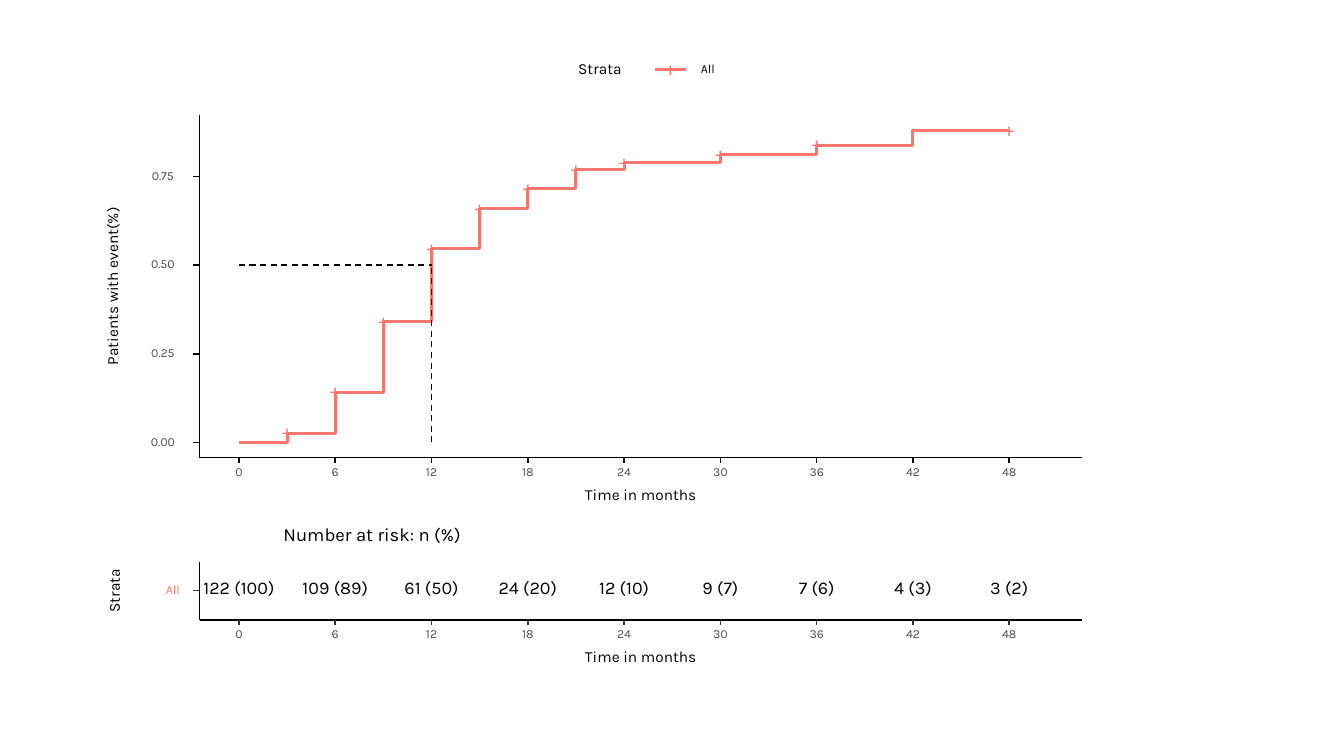
import pptx
import pptx.util
import pptx.dml.color
import pptx.enum.dml
import pptx.enum.shapes
import pptx.enum.text
import lxml.etree

Inches = pptx.util.Inches
Pt = pptx.util.Pt

FONT = "Karla"
COLORS = {"ink": "000000", "strata": "F8766D", "tick_text": "4D4D4D", "risk_tick": "333333"}

# (month, share of patients with event, marked with a plus)
EVENTS = [
    (0, 0.0, False), (3, 0.026, True), (6, 0.142, True), (9, 0.341, True),
    (12, 0.546, True), (15, 0.66, True), (18, 0.716, True), (21, 0.77, True),
    (24, 0.788, True), (30, 0.812, True), (36, 0.838, True),
    (42, 0.879, False), (48, 0.879, True),
]
MEDIAN_MONTH, MEDIAN_SHARE = 12, 0.5
SHARE_TICKS = [0.0, 0.25, 0.5, 0.75]
PATIENTS_AT_RISK = {
    0: "122 (100)", 6: "109 (89)", 12: "61 (50)", 18: "24 (20)", 24: "12 (10)",
    30: "9 (7)", 36: "7 (6)", 42: "4 (3)", 48: "3 (2)",
}
SHARE_TITLE = "Patients with event(%)"
TIME_TITLE = "Time in months"
RISK_TITLE = "Number at risk: n (%)"
STRATA_TITLE, STRATUM = "Strata", "All"

AXIS_LEFT, AXIS_RIGHT = 1.98, 10.73
CURVE_TOP, CURVE_BOTTOM = 1.14, 4.54
RISK_TOP, RISK_BOTTOM, RISK_ROW = 5.58, 6.15, 5.86
MONTH_ZERO, MONTH_WIDTH = 2.37, 7.64 / 48
SHARE_ZERO, SHARE_HEIGHT = 4.39, 3.52
LEGEND_Y = 0.69
THIN, THICK = 1.07, 2.13
TICK_SIZE, TITLE_SIZE, RISK_SIZE, RISK_TITLE_SIZE, PLUS_SIZE = 8.8, 11, 12.8, 13.2, 13.7


def month_x(month):
    return MONTH_ZERO + month * MONTH_WIDTH


def share_y(share):
    return SHARE_ZERO - share * SHARE_HEIGHT


def rgb(name):
    return pptx.dml.color.RGBColor.from_string(COLORS[name])


def add_label(text, center_x, center_y, width, height, size, color="ink", rotation=0):
    label = slide.shapes.add_textbox(
        Inches(center_x - width / 2), Inches(center_y - height / 2), Inches(width), Inches(height))
    label.rotation = rotation
    frame = label.text_frame
    frame.margin_left = frame.margin_right = frame.margin_top = frame.margin_bottom = 0
    frame.word_wrap = False
    frame.vertical_anchor = pptx.enum.text.MSO_ANCHOR.MIDDLE
    paragraph = frame.paragraphs[0]
    paragraph.text = text
    paragraph.alignment = pptx.enum.text.PP_ALIGN.CENTER
    paragraph.line_spacing = Pt(size)
    paragraph.font.name = FONT
    paragraph.font.size = Pt(size)
    paragraph.font.color.rgb = rgb(color)


def add_line(x1, y1, x2, y2, color="ink", width=THIN, dashed=False):
    line = slide.shapes.add_connector(
        pptx.enum.shapes.MSO_CONNECTOR.STRAIGHT, Inches(x1), Inches(y1), Inches(x2), Inches(y2))
    line.line.color.rgb = rgb(color)
    line.line.width = Pt(width)
    if dashed:
        line.line.dash_style = pptx.enum.dml.MSO_LINE.DASH
    properties = line._element.spPr
    lxml.etree.SubElement(properties, pptx.oxml.ns.qn("a:effectLst"))


def add_plus(x, y):
    add_label("+", x, y, 0.29, 0.16, PLUS_SIZE, "strata")


def add_curve():
    corners = []
    for month, share, _ in EVENTS:
        x, y = Inches(month_x(month)), Inches(share_y(share))
        if corners:
            corners.append((x, corners[-1][1]))
        corners.append((x, y))
    builder = slide.shapes.build_freeform(*corners[0])
    builder.add_line_segments(corners[1:], close=False)
    curve = builder.convert_to_shape()
    curve.shadow.inherit = False
    curve.fill.background()
    curve.line.color.rgb = rgb("strata")
    curve.line.width = Pt(THICK)
    for month, share, marked in EVENTS:
        if marked:
            add_plus(month_x(month), share_y(share))


def add_axes(top, bottom, tick_color):
    """Draw the left axis and the month axis with its ticks, labels and title."""
    add_line(AXIS_LEFT, bottom, AXIS_LEFT, top)
    add_line(AXIS_LEFT, bottom, AXIS_RIGHT, bottom)
    for month in PATIENTS_AT_RISK:
        x = month_x(month)
        add_line(x, bottom + 0.05, x, bottom, tick_color)
        add_label(str(month), x, bottom + 0.15, 0.14 * len(str(month)), 0.13,
                  TICK_SIZE, "tick_text")
    add_label(TIME_TITLE, (AXIS_LEFT + AXIS_RIGHT) / 2, bottom + 0.38, 2.09, 0.16, TITLE_SIZE)


def add_left_tick(y, color="ink"):
    add_line(AXIS_LEFT - 0.07, y, AXIS_LEFT, y, color)


def add_event_plot():
    add_curve()
    median_x, median_y = month_x(MEDIAN_MONTH), share_y(MEDIAN_SHARE)
    add_line(MONTH_ZERO, median_y, median_x, median_y, dashed=True)
    add_line(median_x, SHARE_ZERO, median_x, median_y, dashed=True)
    add_axes(CURVE_TOP, CURVE_BOTTOM, "ink")
    for share in SHARE_TICKS:
        add_label(f"{share:.2f}", 1.615, share_y(share), 0.49, 0.13, TICK_SIZE, "tick_text")
        add_left_tick(share_y(share))
    add_label(SHARE_TITLE, 1.125, (CURVE_TOP + CURVE_BOTTOM) / 2, 2.35, 0.24, TITLE_SIZE,
              rotation=270)


def add_legend():
    add_label(STRATA_TITLE, 5.95, LEGEND_Y, 0.82, 0.16, TITLE_SIZE)
    add_line(6.5, LEGEND_Y, 6.8, LEGEND_Y, "strata", THICK)
    add_plus(6.65, LEGEND_Y)
    add_label(STRATUM, 7.02, LEGEND_Y, 0.27, 0.13, TICK_SIZE)


def add_risk_rows():
    for month, patients in PATIENTS_AT_RISK.items():
        add_label(patients, month_x(month), RISK_ROW - 0.02, 0.2 * len(patients) - 0.25, 0.22,
                  RISK_SIZE)
    add_axes(RISK_TOP, RISK_BOTTOM, "risk_tick")
    add_label(STRATUM, 1.715, RISK_ROW, 0.27, 0.13, TICK_SIZE, "strata")
    add_left_tick(RISK_ROW, "risk_tick")
    add_label(STRATA_TITLE, 1.145, RISK_ROW, 0.63, 0.2, TITLE_SIZE, rotation=270)
    add_label(RISK_TITLE, 3.69, 5.32, 3.42, 0.22, RISK_TITLE_SIZE)


presentation = pptx.Presentation()
presentation.slide_width = Inches(13.33)
presentation.slide_height = Inches(7.5)
slide = presentation.slides.add_slide(presentation.slide_layouts[6])
add_event_plot()
add_legend()
add_risk_rows()
presentation.save("out.pptx")
